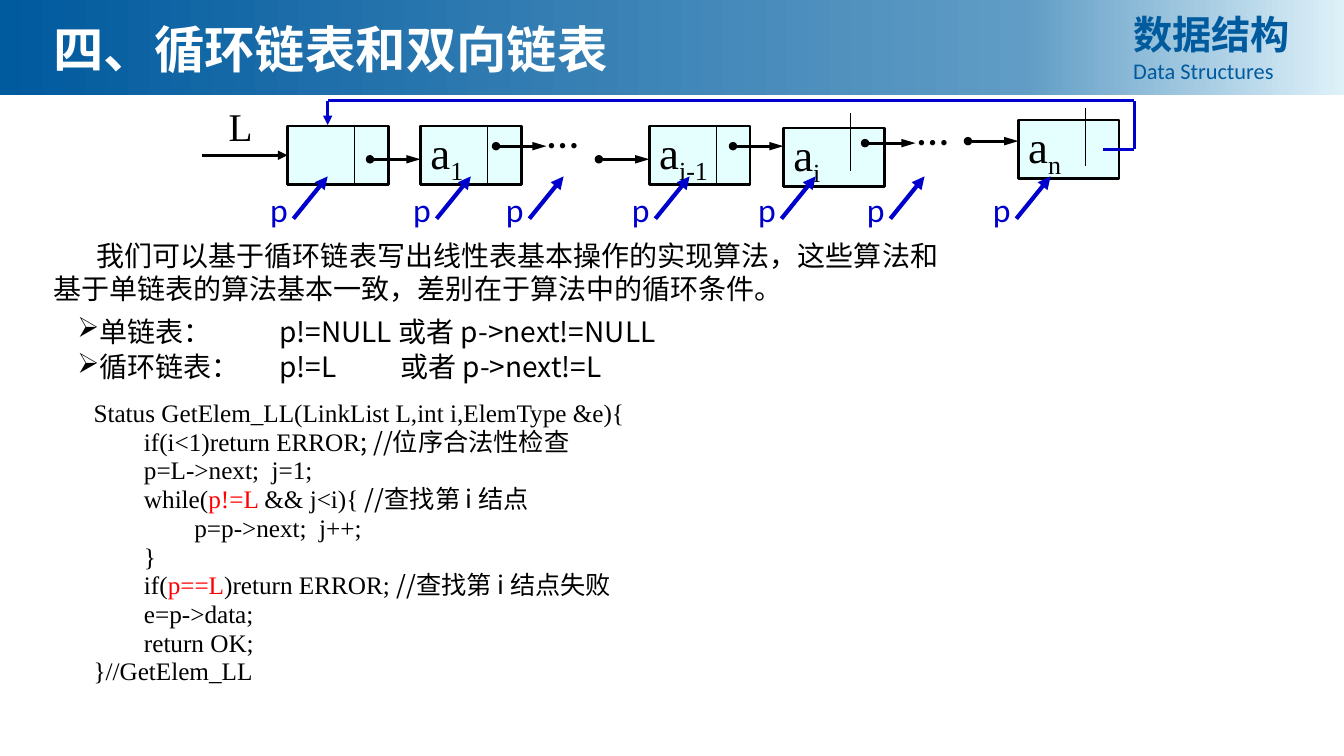
from copy import deepcopy
from dataclasses import dataclass
from typing import Optional

from lxml.etree import SubElement
from pptx import Presentation
from pptx.dml.color import RGBColor
from pptx.enum.shapes import MSO_CONNECTOR, MSO_SHAPE
from pptx.enum.text import MSO_ANCHOR, PP_ALIGN
from pptx.oxml.ns import qn
from pptx.util import Pt

PX = 9144  # EMU per px, 100 px to the inch
NODE_W, NODE_H, DIVIDER_X = 100, 58, 67
CJK, LATIN, SERIF = "Noto Sans CJK SC", "Calibri", "Times New Roman"
COLORS = {
    "black": "000000", "white": "FFFFFF", "red": "FF0000", "pointer": "0000CC",
    "node": "CCFFFF", "deep": "005A9E", "middle": "609CC5", "pale": "DEF1F9",
}


@dataclass
class Run:
    text: str
    color: Optional[str] = None
    font: Optional[str] = None
    size: Optional[float] = None
    bold: Optional[bool] = None
    subscript: bool = False


@dataclass
class Node:
    x: int
    y: int
    index: str
    divider_y: int


@dataclass
class Link:
    x: int
    y: int


NODES = [
    Node(285, 125, "", 125), Node(417, 125, "1", 125), Node(644, 125, "i-1", 125),
    Node(777, 127, "i", 112), Node(1010, 119, "n", 107),
]
LINKS = [Link(367, 158), Link(594, 158), Link(727, 145), Link(960, 140),
         Link(858, 142), Link(492, 145)]
ELLIPSES = [(900, 95), (533, 98)]
POINTER_XS = [850, 975, 258, 400, 492, 617, 742]
RETURN_ROUTE = [(1094, 148), (1125, 148), (1125, 100), (325, 100), (325, 124)]

CODE = [
    [Run("Status GetElem_LL(LinkList L,int i,ElemType &e){")],
    [Run("\tif(i<1)return ERROR"), Run("; //位序合法性检查", font=CJK)],
    [Run("\tp=L->next;  j=1;")],
    [Run("\twhile("), Run("p!=L ", "red"), Run("&& j<i){ "), Run("//查找第 i 结点", font=CJK)],
    [Run("\t\tp=p->next;  j++;")],
    [Run("\t}")],
    [Run("\tif("), Run("p==L", "red"), Run(")return ERROR; "),
     Run("//查找第 i 结点失败", font=CJK)],
    [Run("\te=p->data;")],
    [Run("\treturn OK;")],
    [Run("}//GetElem_LL")],
]


def rgb(name: str) -> RGBColor:
    return RGBColor.from_string(COLORS[name])


def write(frame, paragraphs: list, *, size: float, font: str, color: str = "black",
          bold: bool = False, line: Optional[float] = None, before: float = 0,
          indent: int = 0, bullet: str = "", tabs: tuple = (), wrap: bool = True,
          anchor=MSO_ANCHOR.TOP, align=PP_ALIGN.LEFT) -> None:
    frame.word_wrap = wrap
    frame.vertical_anchor = anchor
    for number, runs in enumerate(paragraphs):
        paragraph = frame.add_paragraph() if number else frame.paragraphs[0]
        properties = paragraph._p.get_or_add_pPr()
        properties.set("marL", "0")
        properties.set("indent", str(indent * PX))
        if bullet:
            SubElement(properties, qn("a:buChar"), char=bullet)
        if tabs:
            stops = SubElement(properties, qn("a:tabLst"))
            for stop in tabs:
                SubElement(stops, qn("a:tab"), pos=str(stop * PX), algn="l")
        paragraph.alignment = align
        if line:
            paragraph.line_spacing = Pt(line)
        if number and before:
            paragraph.space_before = Pt(before)
        for part in runs:
            run = paragraph.add_run()
            run.text = part.text
            run.font.name = part.font or font
            run.font.size = Pt(part.size or size)
            run.font.bold = bold if part.bold is None else part.bold
            run.font.color.rgb = rgb(part.color or color)
            run_properties = run.font._element
            SubElement(run_properties, qn("a:ea"), typeface=CJK)
            if part.subscript:
                run_properties.set("baseline", "-25000")


def add_text(slide, x: int, y: int, w: int, h: int, paragraphs: list, **text_format) -> None:
    box = slide.shapes.add_textbox(x * PX, y * PX, w * PX, h * PX)
    write(box.text_frame, paragraphs, **text_format)


def add_box(slide, x: int, y: int, w: int, h: int):
    box = slide.shapes.add_shape(MSO_SHAPE.RECTANGLE, x * PX, y * PX, w * PX, h * PX)
    box.shadow.inherit = False
    return box


def add_line(slide, start: tuple, end: tuple, *, color: str = "black", width: float = 2,
             head: str = "", tail: str = "", length: str = "med"):
    connector = slide.shapes.add_connector(
        MSO_CONNECTOR.STRAIGHT, *(value * PX for value in start + end))
    connector.line.color.rgb = rgb(color)
    connector.line.width = Pt(width)
    outline = connector.line._get_or_add_ln()
    for tag, kind in (("a:headEnd", head), ("a:tailEnd", tail)):
        if kind:
            size = length if tag == "a:tailEnd" else "med"
            SubElement(outline, qn(tag), type=kind, w="med", len=size)
    SubElement(connector._element.spPr, qn("a:effectLst"))
    return connector


def add_node(slide, node: Node):
    box = add_box(slide, node.x, node.y, NODE_W, NODE_H)
    box.fill.solid()
    box.fill.fore_color.rgb = rgb("node")
    SubElement(box._element.spPr.find(".//" + qn("a:srgbClr")), qn("a:alpha"), val="50000")
    box.line.color.rgb = rgb("black")
    box.line.width = Pt(2)
    if node.index:
        write(box.text_frame, [[Run("a"), Run(node.index, subscript=True)]],
              size=32, font=SERIF, anchor=MSO_ANCHOR.MIDDLE)
    divider = node.x + DIVIDER_X
    add_line(slide, (divider, node.divider_y), (divider, node.divider_y + NODE_H), width=0.75)
    return box


def add_list_diagram(slide) -> None:
    head_node, *_ = [add_node(slide, node) for node in NODES]
    add_text(slide, 217, 97, 44, 57, [[Run("L")]], size=28, font=SERIF, wrap=False)
    entry = add_line(slide, (200, 154), (285, 154), width=2.25, tail="triangle")
    entry.end_connect(head_node, 1)
    for link in LINKS:
        add_line(slide, (link.x, link.y), (link.x + 50, link.y),
                 head="oval", tail="triangle", length="lg")
    for x, y in ELLIPSES:
        add_text(slide, x, y, 67, 63, [[Run("…")]], size=32, font=LATIN)
    # Return from the last node to the head node
    for start, end in zip(RETURN_ROUTE, RETURN_ROUTE[1:]):
        add_line(slide, start, end, color="pointer", width=2.25,
                 tail="triangle" if end == RETURN_ROUTE[-1] else "")
    # Successive places of the pointer p
    for x in POINTER_XS:
        add_text(slide, x, 183, 33, 50, [[Run("p")]], size=24, font=LATIN, color="pointer")
        add_line(slide, (x + 33, 217), (x + 67, 175), color="pointer", width=3, tail="triangle")


def add_header(slide) -> None:
    banner = add_box(slide, 0, 0, 1333, 94)
    banner.line.fill.background()
    banner.fill.gradient()
    banner.fill.gradient_angle = 0
    last_stop = banner._element.spPr.find(".//" + qn("a:gsLst"))[-1]
    last_stop.addnext(deepcopy(last_stop))
    shades = (("deep", 0), ("middle", 0.76), ("pale", 1))
    for stop, (shade, position) in zip(banner.fill.gradient_stops, shades):
        stop.color.rgb = rgb(shade)
        stop.position = position
    add_text(slide, 1114, 5, 191, 50, [[Run("数据结构")]],
             size=28, font=CJK, color="deep", bold=True, line=34, align=PP_ALIGN.JUSTIFY)
    add_text(slide, 1114, 52, 191, 37, [[Run("Data Structures")]],
             size=16, font=LATIN, color="deep", align=PP_ALIGN.JUSTIFY)
    add_text(slide, 43, 12, 724, 71, [[Run("四、循环链表和双向链表")]],
             size=36, font=SERIF, color="white", bold=True, line=44)


def main() -> None:
    deck = Presentation()
    deck.slide_width, deck.slide_height = 1333 * PX, 750 * PX
    slide = deck.slides.add_slide(deck.slide_layouts[6])
    add_list_diagram(slide)
    # Explanation, loop conditions and algorithm
    add_text(slide, 43, 231, 907, 77,
             [[Run("我们可以基于循环链表写出线性表基本操作的实现算法，这些算法和"
                   "基于单链表的算法基本一致，差别在于算法中的循环条件。")]],
             size=20, font=CJK, line=24, indent=43, anchor=MSO_ANCHOR.MIDDLE)
    add_text(slide, 67, 313, 850, 75,
             [[Run("单链表：\tp!=NULL 或者 p->next!=NULL")],
              [Run("循环链表：\tp!=L\t或者 p->next!=L")]],
             size=20, font=CJK, line=19.5, before=6, bullet="➢", tabs=(200, 320))
    add_text(slide, 83, 399, 850, 306, CODE, size=18, font=SERIF, line=14.5, before=6)
    add_header(slide)
    deck.save("out.pptx")


if __name__ == "__main__":
    main()
